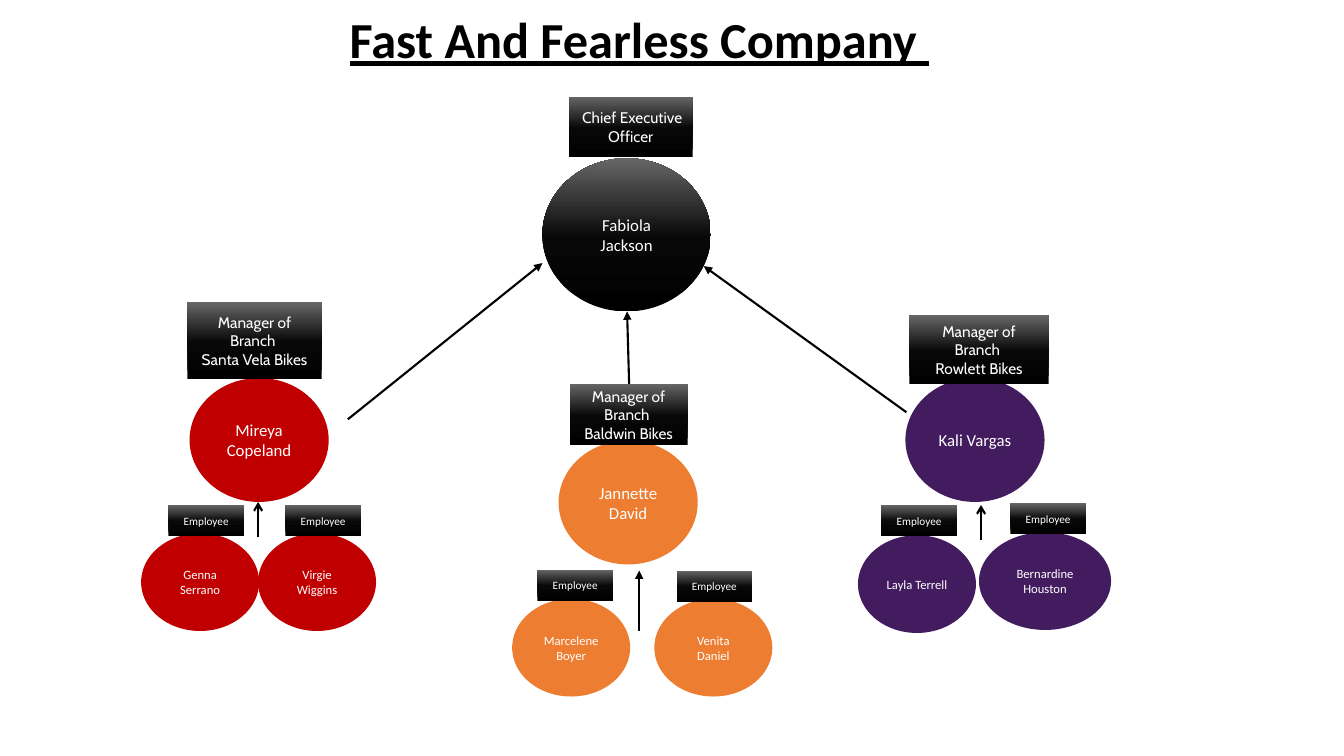
from lxml.etree import SubElement
from pptx import Presentation
from pptx.dml.color import RGBColor
from pptx.enum.shapes import MSO_CONNECTOR, MSO_SHAPE
from pptx.enum.text import MSO_ANCHOR, PP_ALIGN
from pptx.oxml.ns import qn
from pptx.util import Inches, Pt

COLORS = {
    "black": "000000", "ink": "080808", "grey": "666666", "white": "FFFFFF",
    "red": "C00000", "orange": "ED7D31", "purple": "421C5E",
}
SHEEN = [(0, "black"), (48, "ink"), (100, "grey")]
CELL = Inches(0.1)
COLUMNS, ROWS = 133.3, 75
MANAGER_SIZE = (13.8, 12.3)
EMPLOYEE_SIZE = (11.7, 9.7)
EMPLOYEE_BADGE = (7.5, 3.1)

BRANCHES = [
    {
        "color": "red", "manager": "Mireya Copeland", "at": (18.8, 37.5),
        "role": ["Manager of", "Branch ", "Santa Vela Bikes"], "badge": (18.6, 30, 13.3, 7.6),
        "report": ((34.5, 41.6), (53.8, 26.1)),
        "staff": [
            ("Genna Serrano", (14, 52.9, *EMPLOYEE_SIZE), (16.7, 50.1)),
            ("Virgie Wiggins", (25.6, 52.9, *EMPLOYEE_SIZE), (28.3, 50.1)),
        ],
        "staff_report": ((25.6, 53.3), (25.6, 49.8)), "staff_head": "arrow",
    },
    {
        "color": "orange", "manager": "Jannette David", "at": (55.4, 43.7),
        "role": ["Manager of Branch ", "Baldwin Bikes"], "badge": (56.5, 38.1, 11.7, 6.1),
        "report": ((62.4, 38.1), (62.2, 30.9)),
        "staff": [
            ("Marcelene Boyer", (50.8, 59.4, *EMPLOYEE_SIZE), (53.3, 56.5)),
            ("Venita Daniel", (64.9, 59.4, *EMPLOYEE_SIZE), (67.1, 56.6)),
        ],
        "staff_report": ((63.4, 62.6), (63.4, 56.6)), "staff_head": "triangle",
    },
    {
        "color": "purple", "manager": "Kali Vargas", "at": (89.8, 37.5),
        "role": ["Manager of Branch ", "Rowlett Bikes"], "badge": (90.2, 31.3, 13.8, 6.8),
        "report": ((89.9, 40.9), (69.8, 26.4)),
        "staff": [
            ("Bernardine Houston", (97.1, 52.8, 13.1, 9.7), (100.2, 49.9)),
            ("Layla Terrell", (85.1, 53.1, *EMPLOYEE_SIZE), (87.4, 50.1)),
        ],
        "staff_report": ((97.3, 53.6), (97.3, 50.1)), "staff_head": "arrow",
    },
]


def cells(values):
    """Turn grid counts into slide lengths."""
    return [round(value * CELL) for value in values]


def color(name):
    """Look up a named colour."""
    return RGBColor.from_string(COLORS[name])


def write(frame, lines, size, font="Calibri", ink="white"):
    """Fill a text frame with centred lines and return their runs."""
    frame.word_wrap = True
    frame.vertical_anchor = MSO_ANCHOR.MIDDLE
    runs = []
    for index, line in enumerate(lines):
        paragraph = frame.add_paragraph() if index else frame.paragraphs[0]
        paragraph.alignment = PP_ALIGN.CENTER
        run = paragraph.add_run()
        run.text = line
        run.font.size = Pt(size)
        run.font.name = font
        run.font.color.rgb = color(ink)
        runs.append(run)
    return runs


def apply_sheen(shape):
    """Shade a shape from black at the foot to grey at the top."""
    shape.fill.gradient()
    shape.fill.gradient_angle = 90
    stops = shape.element.spPr.find(qn("a:gradFill")).find(qn("a:gsLst"))
    for stop in list(stops):
        stops.remove(stop)
    for share, name in SHEEN:
        stop = SubElement(stops, qn("a:gs"), pos=str(share * 1000))
        SubElement(stop, qn("a:srgbClr"), val=COLORS[name])


def add_block(slide, kind, box, lines, size, fill=None, font="Calibri"):
    """Add a labelled shape, shaded unless a plain fill is named."""
    block = slide.shapes.add_shape(kind, *cells(box))
    block.shadow.inherit = False
    block.line.fill.background()
    if fill:
        block.fill.solid()
        block.fill.fore_color.rgb = color(fill)
    else:
        apply_sheen(block)
    write(block.text_frame, lines, size, font)


def add_person(slide, name, box, size, fill=None):
    """Add a person's ellipse."""
    add_block(slide, MSO_SHAPE.OVAL, box, [name], size, fill)


def add_badge(slide, lines, box, size=11, font="Cabin"):
    """Add a dark badge with a job title."""
    add_block(slide, MSO_SHAPE.RECTANGLE, box, lines, size, font=font)


def add_arrow(slide, ends, head="triangle"):
    """Add a reporting arrow between two grid points."""
    start, end = ends
    arrow = slide.shapes.add_connector(MSO_CONNECTOR.STRAIGHT, *cells(start + end))
    arrow.line.width = Pt(1.5)
    arrow.line.color.rgb = color("black")
    SubElement(arrow.line._get_or_add_ln(), qn("a:tailEnd"), type=head)
    SubElement(arrow.element.spPr, qn("a:effectLst"))


def add_title(slide, text):
    """Add the underlined heading."""
    heading = slide.shapes.add_textbox(*cells((7.8, 0.5, 111.2, 7.4)))
    for run in write(heading.text_frame, [text], 36, ink="black"):
        run.font.bold = True
        run.font.underline = True
    heading.text_frame.paragraphs[0].line_spacing = 0.9


def add_branch(slide, branch):
    """Add a manager, the staff below and their reporting arrows."""
    add_person(slide, branch["manager"], branch["at"] + MANAGER_SIZE, 12, branch["color"])
    add_badge(slide, branch["role"], branch["badge"])
    add_arrow(slide, branch["report"])
    for name, box, badge_at in branch["staff"]:
        add_person(slide, name, box, 9, branch["color"])
        add_badge(slide, ["Employee"], badge_at + EMPLOYEE_BADGE, 8, "Calibri")
    add_arrow(slide, branch["staff_report"], branch["staff_head"])


def main():
    """Build the organisation chart."""
    deck = Presentation()
    deck.slide_width, deck.slide_height = cells((COLUMNS, ROWS))
    slide = deck.slides.add_slide(deck.slide_layouts[6])
    add_title(slide, "Fast And Fearless Company ")
    add_person(slide, "Fabiola Jackson", (53.8, 15.7, 16.7, 15.2), 12)
    add_badge(slide, [" Chief Executive Officer"], (56.4, 9.6, 12.3, 6))
    for branch in BRANCHES:
        add_branch(slide, branch)
    deck.save("out.pptx")


if __name__ == "__main__":
    main()
